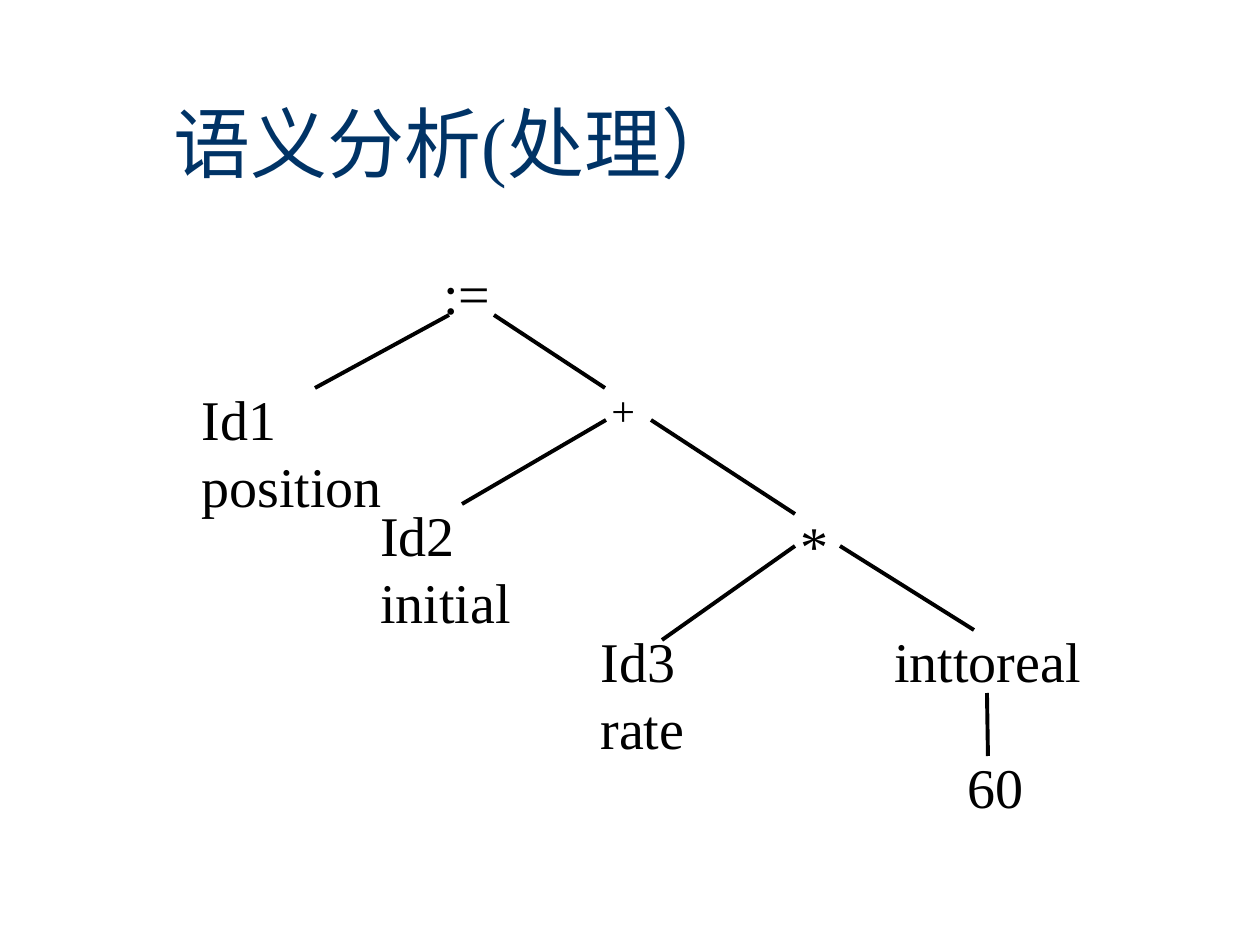
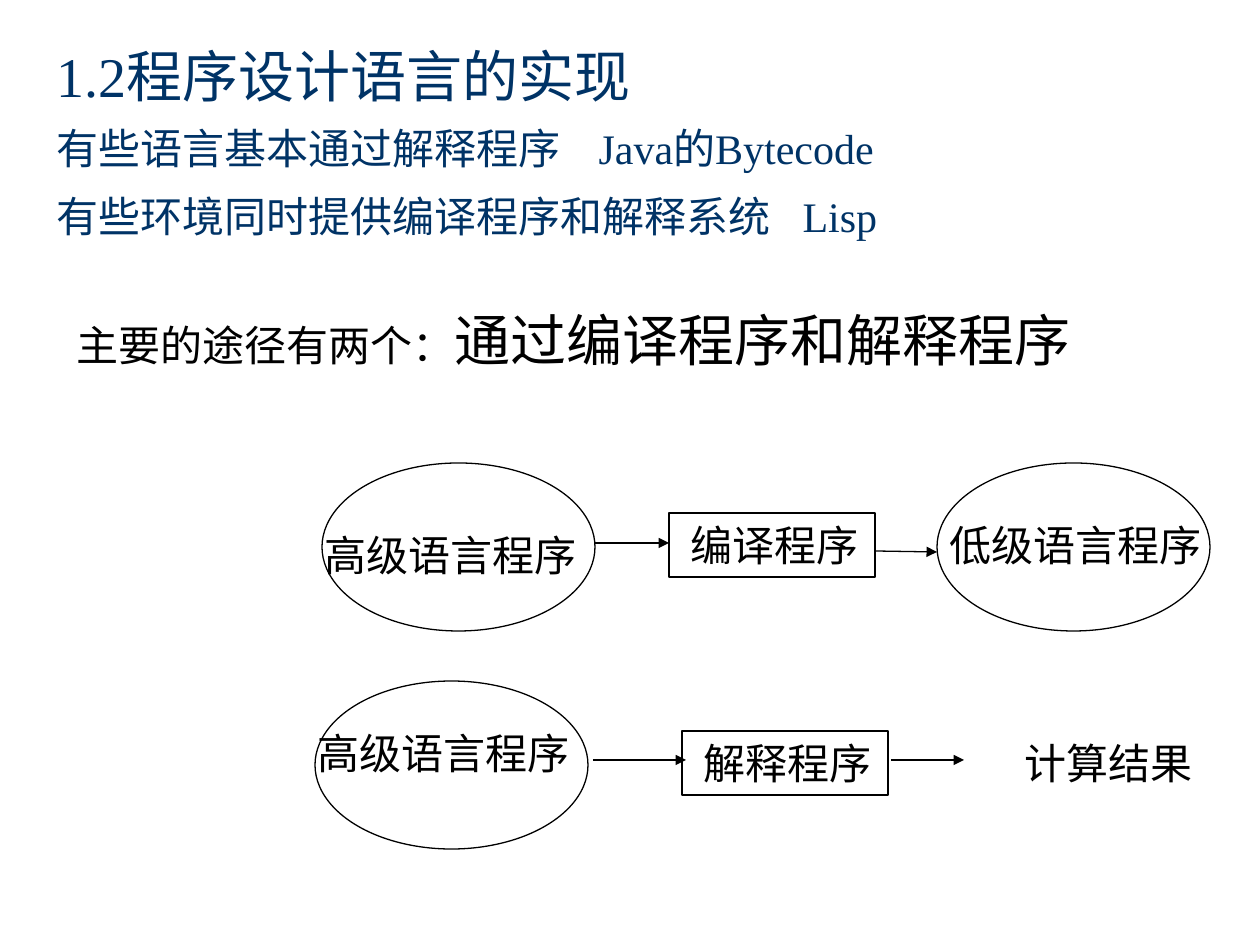
from pptx import Presentation, util as u
from pptx.dml.color import RGBColor
from pptx.enum import shapes, text
from pptx.oxml.ns import qn
from lxml import etree

PX = 914400 / 126
COLOURS = {"title": "003366", "ink": "000000"}
SERIF = {"name": "Times New Roman"}
FRAME = {"word_wrap": True, "auto_size": text.MSO_AUTO_SIZE.NONE,
         "vertical_anchor": text.MSO_ANCHOR.TOP}
NO_WRAP = {"word_wrap": False}
MIDDLE = {"vertical_anchor": text.MSO_ANCHOR.MIDDLE}
LEFT, CENTRE = text.PP_ALIGN.LEFT, text.PP_ALIGN.CENTER


def write(holder, box, lines, frame={}, colour="ink", align=LEFT, font=SERIF):
    for side, length in zip(("left", "top", "width", "height"), box):
        setattr(holder, side, u.Emu(round(length * PX)))
    for key, value in {**FRAME, **frame}.items():
        setattr(holder.text_frame, key, value)
    for number, (before, runs) in enumerate(lines):
        line = holder.text_frame.paragraphs[0] if number == 0 else holder.text_frame.add_paragraph()
        line.alignment = align
        line.space_before = u.Pt(before)
        for words, size in runs:
            run = line.add_run()
            run.text = words
            for key, value in {**font, "size": u.Pt(size)}.items():
                setattr(run.font, key, value)
            run.font.color.rgb = RGBColor.from_string(COLOURS[colour])


def connect(slide, ends, width, arrow=False):
    link = slide.shapes.add_connector(
        shapes.MSO_CONNECTOR.STRAIGHT, *[u.Emu(round(end * PX)) for end in ends])
    link.line.width = u.Pt(width)
    link.line.color.rgb = RGBColor.from_string(COLOURS["ink"])
    if arrow:
        etree.SubElement(link.line._get_or_add_ln(), qn("a:tailEnd"), type="triangle")
    etree.SubElement(link._element.spPr, qn("a:effectLst"))


deck = Presentation()
deck.slide_width, deck.slide_height = u.Inches(10), u.Inches(7.5)

semantics = deck.slides.add_slide(deck.slide_layouts[5])
write(semantics.shapes.title, (161, 63, 1071, 158), [(0, [("语义分析(处理）", 44)])],
      MIDDLE, "title")

tree_nodes = [
    (":=", 431, 252, 89, 32), ("+", 599, 378, 89, 24), ("*", 788, 504, 89, 32),
    ("Id1 position", 189, 378, 222, 32), ("Id2 initial", 368, 494, 166, 32),
    ("Id3 rate", 588, 620, 122, 32), ("inttoreal", 882, 620, 221, 32),
    ("60", 955, 746, 84, 32),
]
for symbol, left, top, width, size in tree_nodes:
    write(semantics.shapes.add_textbox(0, 0, 0, 0), (left, top, width, 79),
          [(0, [(symbol, size)])])

tree_branches = [
    (315, 388, 449, 315), (494, 315, 605, 388), (606, 420, 462, 504), (651, 420, 795, 514),
    (840, 546, 974, 630), (795, 546, 662, 640), (987, 693, 988, 756),
]
for branch in tree_branches:
    connect(semantics, branch, 2.25)

implementation = deck.slides.add_slide(deck.slide_layouts[1])
heading = implementation.shapes.title
write(heading, (44, 35, 1188, 258), [
    (0, [("1.2程序设计语言的实现", 32)]),
    (8, [("有些语言基本通过解释程序\tJava的Bytecode", 24)]),
    (10, [("有些环境同时提供编译程序和解释系统\tLisp", 24)]),
], colour="title")
for line, stop in zip(heading.text_frame.paragraphs[1:], (542, 746)):
    tabs = etree.SubElement(line._p.get_or_add_pPr(), qn("a:tabLst"))
    etree.SubElement(tabs, qn("a:tab"), pos=str(round(stop * PX)), algn="l")

approaches = implementation.placeholders[1]
write(approaches, (64, 299, 1168, 94),
      [(0, [("主要的途径有两个：", 24), ("通过编译程序和解释程序", 32)])], font={"name": "Arial"})
list_format = approaches.text_frame.paragraphs[0]._p.get_or_add_pPr()
for key in ("marL", "indent"):
    list_format.set(key, "0")
etree.SubElement(list_format, qn("a:buNone"))

OVAL, BOX = shapes.MSO_SHAPE.OVAL, shapes.MSO_SHAPE.RECTANGLE
INSET = {"margin_left": u.Emu(round(22 * PX)), **NO_WRAP}
stages = [
    (OVAL, (322, 463, 273, 168), []), (OVAL, (937, 463, 273, 168), []),
    (OVAL, (315, 681, 273, 168), []),
    (BOX, (669, 513, 206, 64), [(0, [("编译程序", 24)])]),
    (BOX, (682, 731, 206, 64), [(0, [("解释程序", 24)])]),
]
for outline, box, lines in stages:
    stage = implementation.shapes.add_shape(outline, 0, 0, 0, 0)
    stage.shadow.inherit = False
    stage.fill.background()
    stage.line.width = u.Pt(0.75)
    stage.line.color.rgb = RGBColor.from_string(COLOURS["ink"])
    write(stage, box, lines, INSET)

programs = [
    ("低级语言程序", 937, 513, 277), ("高级语言程序", 312, 523, 277),
    ("高级语言程序", 305, 721, 277), ("计算结果", 1012, 731, 193),
]
for program, left, top, width in programs:
    write(implementation.shapes.add_textbox(0, 0, 0, 0), (left, top, width, 63),
          [(0, [(program, 24)])], NO_WRAP, align=CENTRE)

flows = [(595, 543, 669, 543), (875, 551, 937, 552), (593, 760, 686, 760), (891, 760, 964, 760)]
for flow in flows:
    connect(implementation, flow, 0.75, arrow=True)

deck.save("out.pptx")
